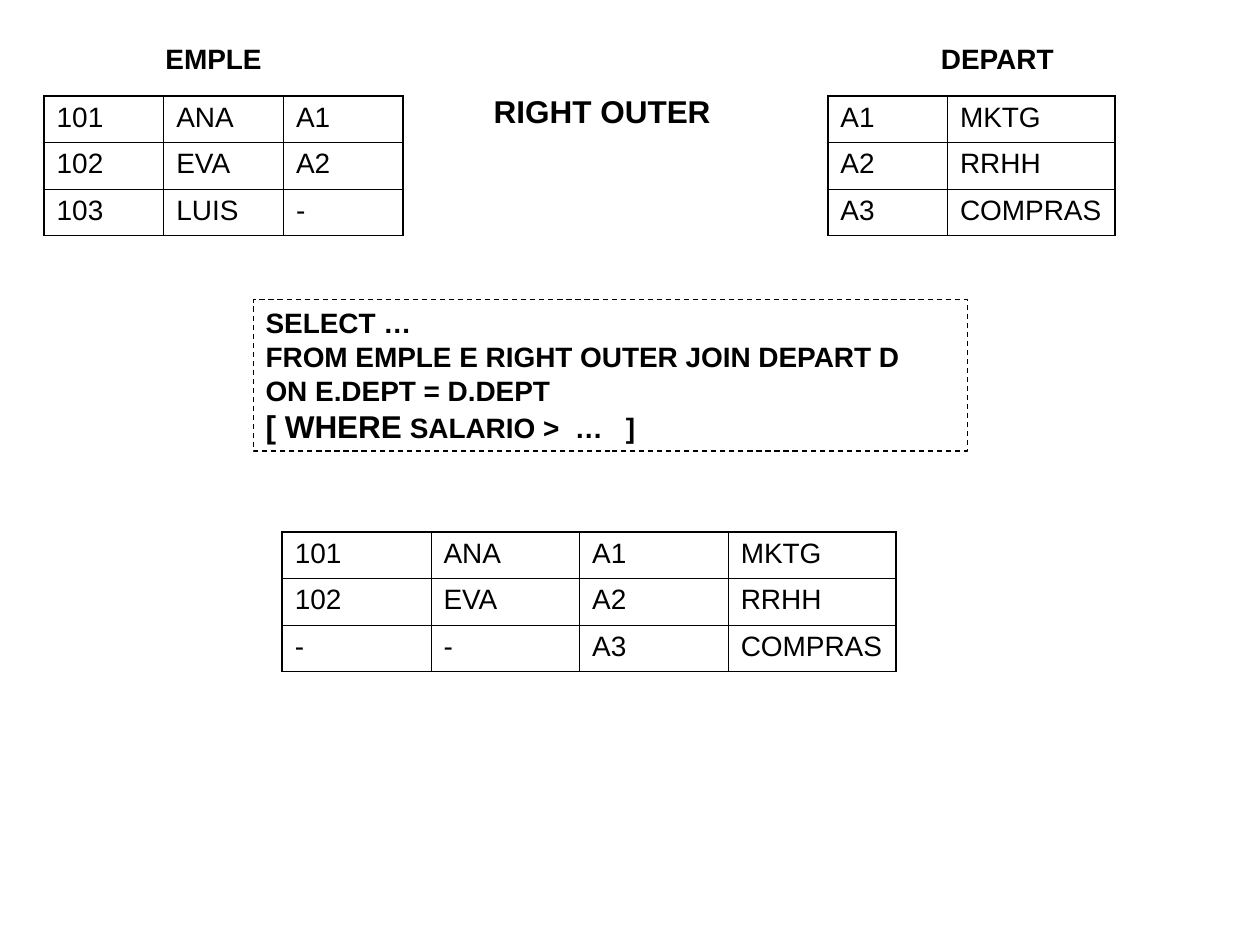
from dataclasses import dataclass

from lxml import etree
from pptx import Presentation
from pptx.dml.color import RGBColor
from pptx.enum.dml import MSO_LINE
from pptx.enum.shapes import MSO_SHAPE
from pptx.enum.text import MSO_ANCHOR, MSO_AUTO_SIZE, PP_ALIGN
from pptx.oxml.ns import qn
from pptx.util import Inches, Pt

RECT = MSO_SHAPE.RECTANGLE
DASH = MSO_LINE.DASH
TOP = MSO_ANCHOR.TOP
GROW = MSO_AUTO_SIZE.SHAPE_TO_FIT_TEXT
LEFT, CENTER = PP_ALIGN.LEFT, PP_ALIGN.CENTER


@dataclass(frozen=True)
class Theme:
    font: str = "Arial"
    ink: str = "000000"
    body: int = 16
    large: int = 18
    outer: float = 1.08
    inner: float = 0.45
    dash: float = 0.75


THEME = Theme()
ROW_H = 0.37
NAME_W = 1.33  # fits the longest department name on one line
EMPLE = [("101", "ANA", "A1"), ("102", "EVA", "A2"), ("103", "LUIS", "-")]
DEPART = [("A1", "MKTG"), ("A2", "RRHH"), ("A3", "COMPRAS")]
RESULT = [("101", "ANA", "A1", "MKTG"), ("102", "EVA", "A2", "RRHH"),
          ("-", "-", "A3", "COMPRAS")]
QUERY = ["SELECT …", "FROM EMPLE E RIGHT OUTER JOIN DEPART D", "ON E.DEPT = D.DEPT"]


def style_run(r, size=THEME.body, bold=True):
    r.font.name = THEME.font
    r.font.size = Pt(size)
    r.font.bold = bold
    r.font.color.rgb = RGBColor.from_string(THEME.ink)


def add_label(s, text, x, y, w, h, size=THEME.body, align=CENTER, wrap=True):
    tf = s.shapes.add_textbox(Inches(x), Inches(y), Inches(w), Inches(h)).text_frame
    tf.word_wrap = wrap
    tf.auto_size = GROW
    tf.text = text
    p = tf.paragraphs[0]
    p.alignment = align
    style_run(p.runs[0], size)


def set_borders(cell, widths):
    """Draw the left, right, top and bottom lines, ahead of the cell's fill."""
    tc_pr = cell._tc.get_or_add_tcPr()
    for i, (side, width) in enumerate(widths.items()):
        ln = etree.Element(qn(f"a:ln{side}"), w=str(Pt(width)))
        fill = etree.SubElement(ln, qn("a:solidFill"))
        etree.SubElement(fill, qn("a:srgbClr"), val=THEME.ink)
        tc_pr.insert(i, ln)


def add_grid(s, rows, x, y, col_widths):
    n_rows, n_cols = len(rows), len(col_widths)
    table = s.shapes.add_table(n_rows, n_cols, Inches(x), Inches(y),
                               Inches(sum(col_widths)), Inches(ROW_H * n_rows)).table
    table.first_row = table.horz_banding = False
    for column, width in zip(table.columns, col_widths):
        column.width = Inches(width)
    for i, row in enumerate(rows):
        table.rows[i].height = Inches(ROW_H)
        for j, text in enumerate(row):
            cell = table.cell(i, j)
            cell.fill.background()
            cell.text = text
            p = cell.text_frame.paragraphs[0]
            p.space_before = Pt(4)
            style_run(p.runs[0], bold=False)
            # Heavier lines on the outside of the grid
            at_edge = {"L": j == 0, "R": j == n_cols - 1,
                       "T": i == 0, "B": i == n_rows - 1}
            set_borders(cell, {side: THEME.outer if edge else THEME.inner
                               for side, edge in at_edge.items()})


def add_query(s, x, y, w, h):
    sp = s.shapes.add_shape(RECT, Inches(x), Inches(y), Inches(w), Inches(h))
    sp.shadow.inherit = False
    sp.fill.background()
    sp.line.color.rgb = RGBColor.from_string(THEME.ink)
    sp.line.width = Pt(THEME.dash)
    sp.line.dash_style = DASH
    tf = sp.text_frame
    tf.word_wrap = True
    tf.auto_size = GROW
    tf.vertical_anchor = TOP
    tf.text = "\n".join(QUERY)
    # Optional condition, with a larger keyword
    p = tf.add_paragraph()
    p.text = "[ WHERE"
    p.add_run().text = " SALARIO >  …   ]"
    for p in tf.paragraphs:
        p.alignment = LEFT
        for r in p.runs:
            style_run(r)
    p.runs[0].font.size = Pt(THEME.large)


def main():
    prs = Presentation()
    prs.slide_width, prs.slide_height = Inches(10), Inches(7.5)
    s = prs.slides.add_slide(prs.slide_layouts[6])

    # Source tables
    add_label(s, "EMPLE", 0.2, 0.28, 2.99, 0.37)
    add_grid(s, EMPLE, 0.35, 0.76, [0.95] * 3)
    add_label(s, "DEPART", 6.42, 0.28, 2.99, 0.37)
    add_grid(s, DEPART, 6.57, 0.76, [0.95, NAME_W])

    # Join query and its result
    add_query(s, 2.01, 2.38, 5.67, 1.2)
    add_grid(s, RESULT, 2.24, 4.22, [1.18] * 3 + [NAME_W])
    add_label(s, "RIGHT OUTER", 3.82, 0.68, 1.92, 0.4, THEME.large, LEFT, wrap=False)

    prs.save("out.pptx")


if __name__ == "__main__":
    main()
